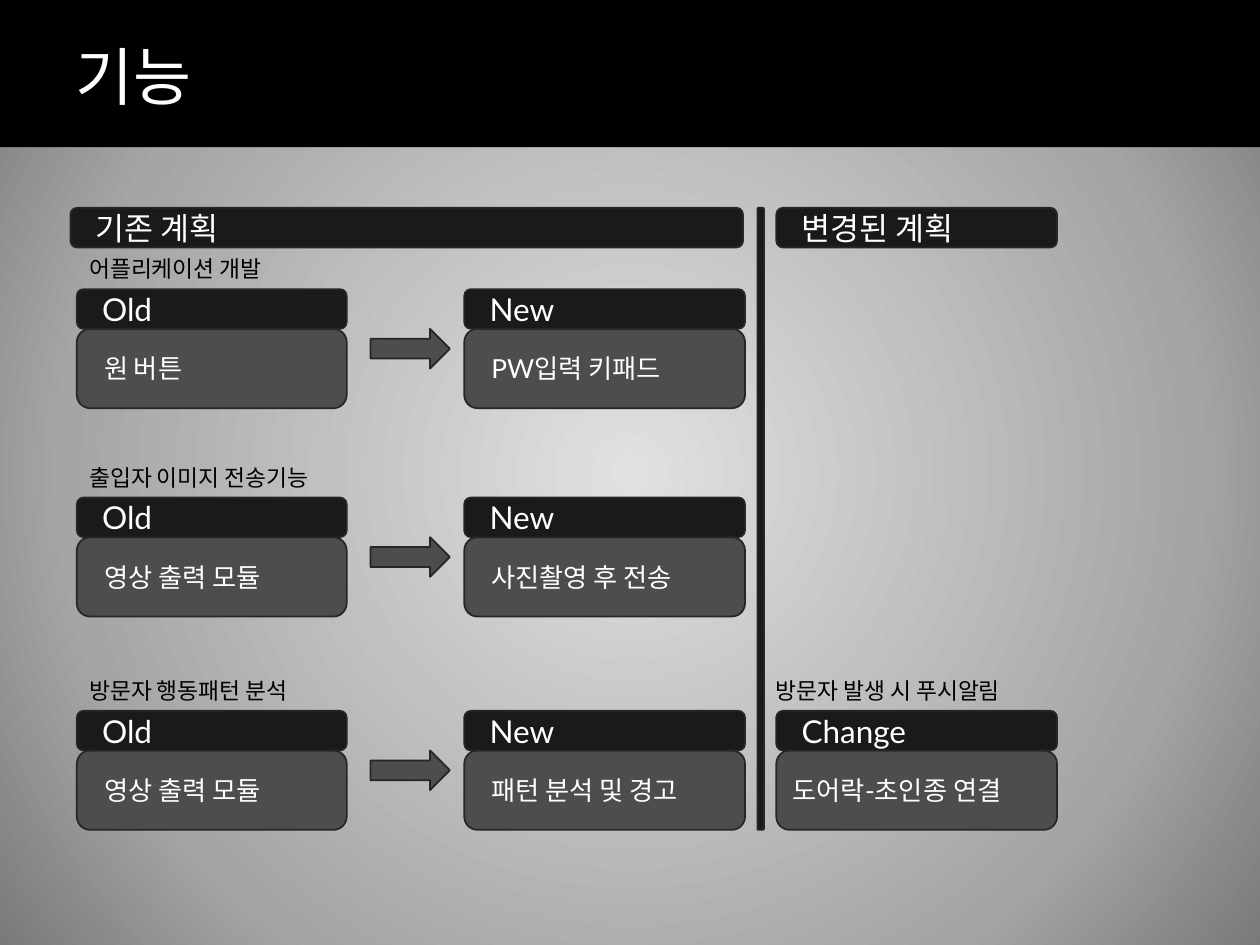
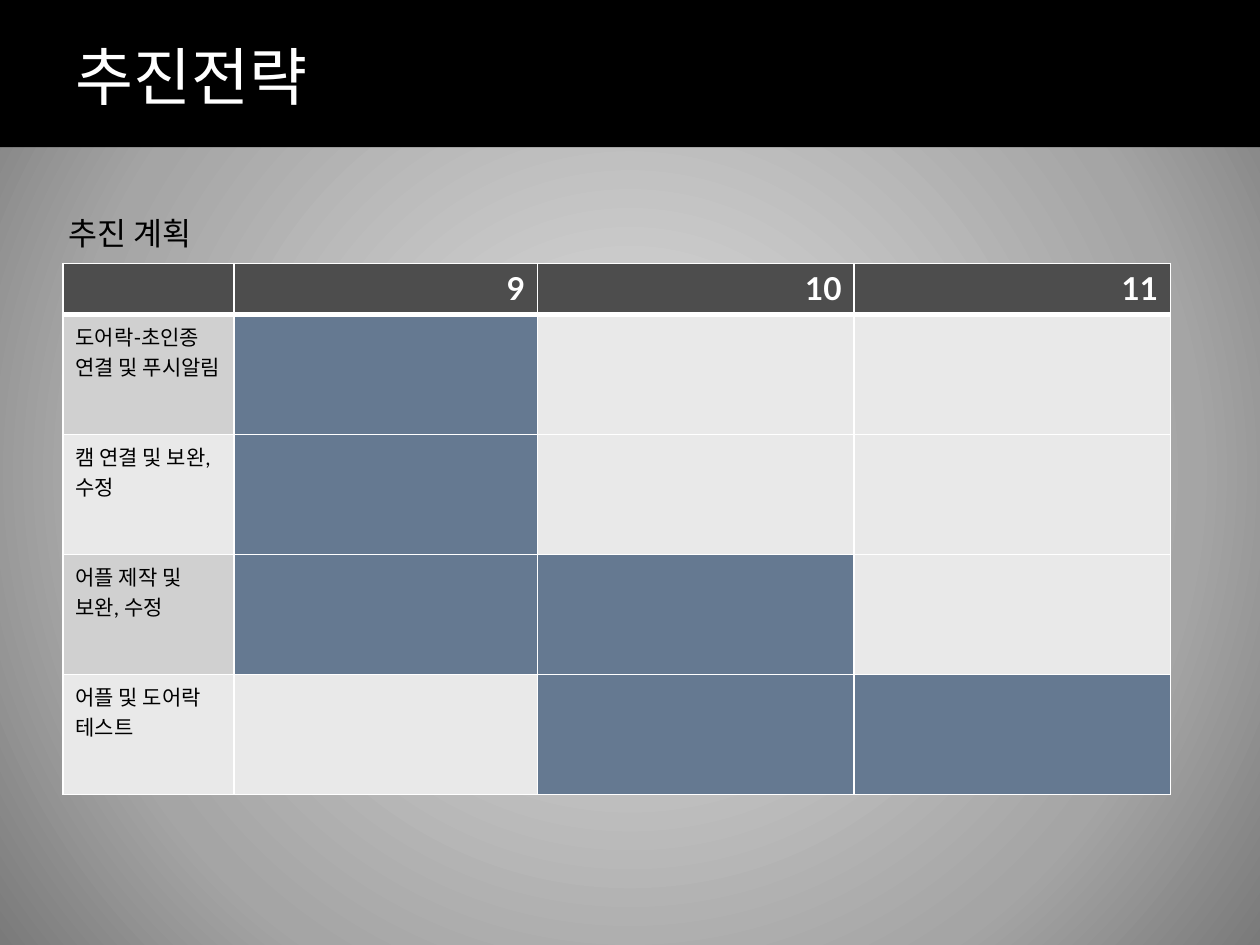
from dataclasses import dataclass

from pptx import Presentation
from pptx.dml.color import RGBColor
from pptx.enum.shapes import MSO_SHAPE
from pptx.enum.text import MSO_ANCHOR, MSO_AUTO_SIZE, PP_ALIGN
from pptx.oxml import parse_xml
from pptx.oxml.ns import nsdecls, qn
from pptx.util import Cm, Pt

RECT, ROUND_RECT, ARROW = MSO_SHAPE.RECTANGLE, MSO_SHAPE.ROUNDED_RECTANGLE, MSO_SHAPE.RIGHT_ARROW
MIDDLE = MSO_ANCHOR.MIDDLE
LEFT, RIGHT, JUSTIFY = PP_ALIGN.LEFT, PP_ALIGN.RIGHT, PP_ALIGN.JUSTIFY
NO_AUTOFIT, GROW = MSO_AUTO_SIZE.NONE, MSO_AUTO_SIZE.SHAPE_TO_FIT_TEXT

BLACK = RGBColor(0x00, 0x00, 0x00)
WHITE = RGBColor(0xFF, 0xFF, 0xFF)
INK = RGBColor(0x1A, 0x1A, 0x1A)
EDGE = RGBColor(0x26, 0x26, 0x26)
GREY = RGBColor(0x4D, 0x4D, 0x4D)
BAND_DARK = RGBColor(0xD0, 0xD0, 0xD0)
BAND_LIGHT = RGBColor(0xE9, 0xE9, 0xE9)
SCHEDULED = RGBColor(0x65, 0x79, 0x91)
BACKGROUND_STOPS = [(0, "E1E1E1"), (72, "A5A5A5"), (100, "7A7A7A")]

TITLE_FONT, BODY_FONT, LABEL_FONT = "Arial", "Lato", "Noto Sans CJK KR"

# Lengths in centimetres
HEAD_H, BODY_H = 0.8, 1.6
INDENT, PLAIN_INSET = 0.47, 0.25
PLAN_TOP = 4.19
OLD_W, NEW_W = 5.44, 5.66
OLD_X, ARROW_X, NEW_X, CHANGE_X = 1.55, 7.47, 9.36, 15.65
LABEL_RISE = 0.81


@dataclass
class Feature:
    label: str
    top: float
    old: str
    new: str


@dataclass
class Task:
    name: str
    months: tuple[int, ...]


FEATURES = [
    Feature("어플리케이션 개발", 5.83, "원 버튼", "PW입력 키패드"),
    Feature("출입자 이미지 전송기능", 10.03, "영상 출력 모듈", "사진촬영 후 전송"),
    Feature("방문자 행동패턴 분석", 14.33, "영상 출력 모듈", "패턴 분석 및 경고"),
]
MONTHS = [9, 10, 11]
TASKS = [
    Task("도어락-초인종 연결 및 푸시알림", (9,)),
    Task("캠 연결 및 보완, 수정", (9,)),
    Task("어플 제작 및 보완, 수정", (9, 10)),
    Task("어플 및 도어락 테스트", (10, 11)),
]


def write(tf, text: str, size: float, font: str, color: RGBColor, align=LEFT, bold=False) -> None:
    tf.text = text
    p = tf.paragraphs[0]
    p.alignment = align
    p.font.size, p.font.name, p.font.bold = Pt(size), font, bold
    p.font.color.rgb = color


def add_box(shapes, kind, x: float, y: float, w: float, h: float, fill: RGBColor):
    sp = shapes.add_shape(kind, Cm(x), Cm(y), Cm(w), Cm(h))
    sp.shadow.inherit = False
    sp.fill.solid()
    sp.fill.fore_color.rgb = fill
    sp.line.color.rgb = EDGE
    sp.line.width = Pt(1)
    return sp


def add_panel(shapes, x: float, y: float, w: float, h: float, fill: RGBColor,
              text: str, size: float, align=LEFT, inset: float = INDENT) -> None:
    sp = add_box(shapes, ROUND_RECT, x, y, w, h, fill)
    tf = sp.text_frame
    tf.vertical_anchor = MIDDLE
    tf.margin_left = Cm(inset)
    write(tf, text, size, BODY_FONT, WHITE, align)


def add_heading(shapes, x: float, y: float, w: float, text: str) -> None:
    add_panel(shapes, x, y, w, HEAD_H, INK, text, 18, JUSTIFY)


def add_card(slide, x: float, y: float, w: float, head: str, body: str, inset: float = INDENT) -> None:
    shapes = slide.shapes.add_group_shape().shapes
    add_panel(shapes, x, y + HEAD_H, w, BODY_H, GREY, body, 15, inset=inset)
    add_heading(shapes, x, y, w, head)


def add_label(slide, x: float, y: float, w: float, h: float, text: str, size: float) -> None:
    tf = slide.shapes.add_textbox(Cm(x), Cm(y), Cm(w), Cm(h)).text_frame
    tf.word_wrap = True
    tf.auto_size = GROW
    write(tf, text, size, LABEL_FONT, BLACK)


def add_titled_slide(prs, layout, title: str):
    slide = prs.slides.add_slide(layout)
    write(slide.shapes.title.text_frame, title, 36, TITLE_FONT, WHITE)
    return slide


def style_layout(layout, slide) -> None:
    """Give the layout its background, title position and top band."""
    layout.background.fill.gradient()
    stops = "".join(f'<a:gs pos="{pos * 1000}"><a:srgbClr val="{color}"/></a:gs>'
                    for pos, color in BACKGROUND_STOPS)
    old = next(layout.element.iter(qn("a:gradFill")))
    old.getparent().replace(old, parse_xml(
        f'<a:gradFill {nsdecls("a")} rotWithShape="1"><a:gsLst>{stops}</a:gsLst><a:path path="circle">'
        '<a:fillToRect l="50000" t="50000" r="50000" b="50000"/></a:path></a:gradFill>'))

    title = layout.placeholders[0]
    title.left, title.top, title.width, title.height = Cm(1.27), Cm(0.48), Cm(22.86), Cm(2.06)
    title.text_frame.vertical_anchor = MIDDLE
    title.text_frame.auto_size = NO_AUTOFIT

    # The band is drawn on a slide, then moved behind the layout's placeholders
    band = add_box(slide.shapes, RECT, 0, 0, 25.4, 2.97, BLACK)
    band.line.fill.background()
    next(band.element.iter(qn("p:cNvPr"))).set("id", "100")
    layout.shapes.element.insert(2, band.element)


def build_features(slide) -> None:
    # Old and new version of each feature
    for f in FEATURES:
        add_label(slide, OLD_X, f.top - LABEL_RISE, 11.61, 0.81, f.label, 13)
        add_card(slide, OLD_X, f.top, OLD_W, "Old", f.old)
        add_box(slide.shapes, ARROW, ARROW_X, f.top + HEAD_H, 1.6, 0.8, GREY)
        add_card(slide, NEW_X, f.top, NEW_W, "New", f.new)

    # Changed plan
    top = FEATURES[-1].top
    add_label(slide, 15.39, top - LABEL_RISE, 5.89, 0.81, "방문자 발생 시 푸시알림", 13)
    add_card(slide, CHANGE_X, top, NEW_W, "Change", "도어락-초인종 연결", PLAIN_INSET)

    # Divider and column headings
    add_box(slide.shapes, ROUND_RECT, 15.27, PLAN_TOP, 0.13, 12.54, INK)
    add_heading(slide.shapes, CHANGE_X, PLAN_TOP, NEW_W, "변경된 계획")
    add_heading(slide.shapes, 1.42, PLAN_TOP, 13.56, "기존 계획")


def style_cell(cell, row: int, fill: RGBColor) -> None:
    tcPr = cell._tc.get_or_add_tcPr()
    for side in ("lnL", "lnR", "lnT", "lnB"):
        width = Pt(3) if (row, side) in ((0, "lnB"), (1, "lnT")) else Pt(1)
        tcPr.append(parse_xml(f'<a:{side} {nsdecls("a")} w="{width}"><a:solidFill>'
                              f'<a:srgbClr val="{WHITE}"/></a:solidFill></a:{side}>'))
    cell.fill.solid()
    cell.fill.fore_color.rgb = fill


def build_schedule(slide) -> None:
    widths = [3.45, 6.12, 6.38, 6.38]
    heights = [0.71] + [2.42] * len(TASKS)
    table = slide.shapes.add_table(len(heights), len(widths), Cm(1.27), Cm(5.31),
                                   Cm(sum(widths)), Cm(sum(heights))).table
    table.horz_banding = False
    for column, width in zip(table.columns, widths):
        column.width = Cm(width)
    for row, height in zip(table.rows, heights):
        row.height = Cm(height)

    # Month header
    style_cell(table.cell(0, 0), 0, GREY)
    for c, month in enumerate(MONTHS, 1):
        cell = table.cell(0, c)
        style_cell(cell, 0, GREY)
        write(cell.text_frame, str(month), 18, BODY_FONT, WHITE, RIGHT, bold=True)

    # Tasks with their scheduled months
    for r, task in enumerate(TASKS, 1):
        cell = table.cell(r, 0)
        style_cell(cell, r, BAND_DARK if r % 2 else BAND_LIGHT)
        write(cell.text_frame, task.name, 12, BODY_FONT, BLACK)
        for c, month in enumerate(MONTHS, 1):
            style_cell(table.cell(r, c), r, SCHEDULED if month in task.months else BAND_LIGHT)

    add_label(slide, 1.14, PLAN_TOP, 12.34, 1.02, "추진 계획", 18)


def main() -> None:
    prs = Presentation()
    prs.slide_width, prs.slide_height = Cm(25.4), Cm(19.05)
    layout = prs.slide_layouts[5]
    features = add_titled_slide(prs, layout, "기능")
    style_layout(layout, features)
    build_features(features)
    build_schedule(add_titled_slide(prs, layout, "추진전략"))
    prs.save("out.pptx")


if __name__ == "__main__":
    main()
